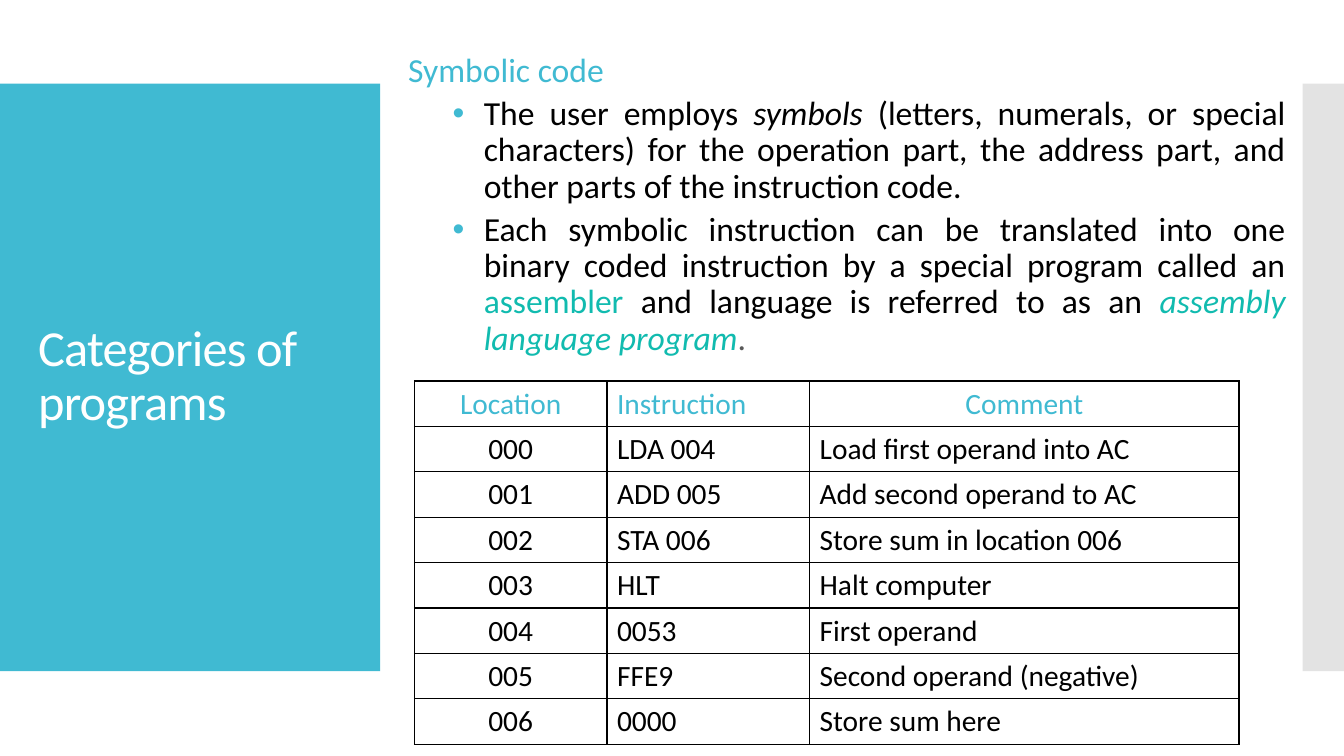
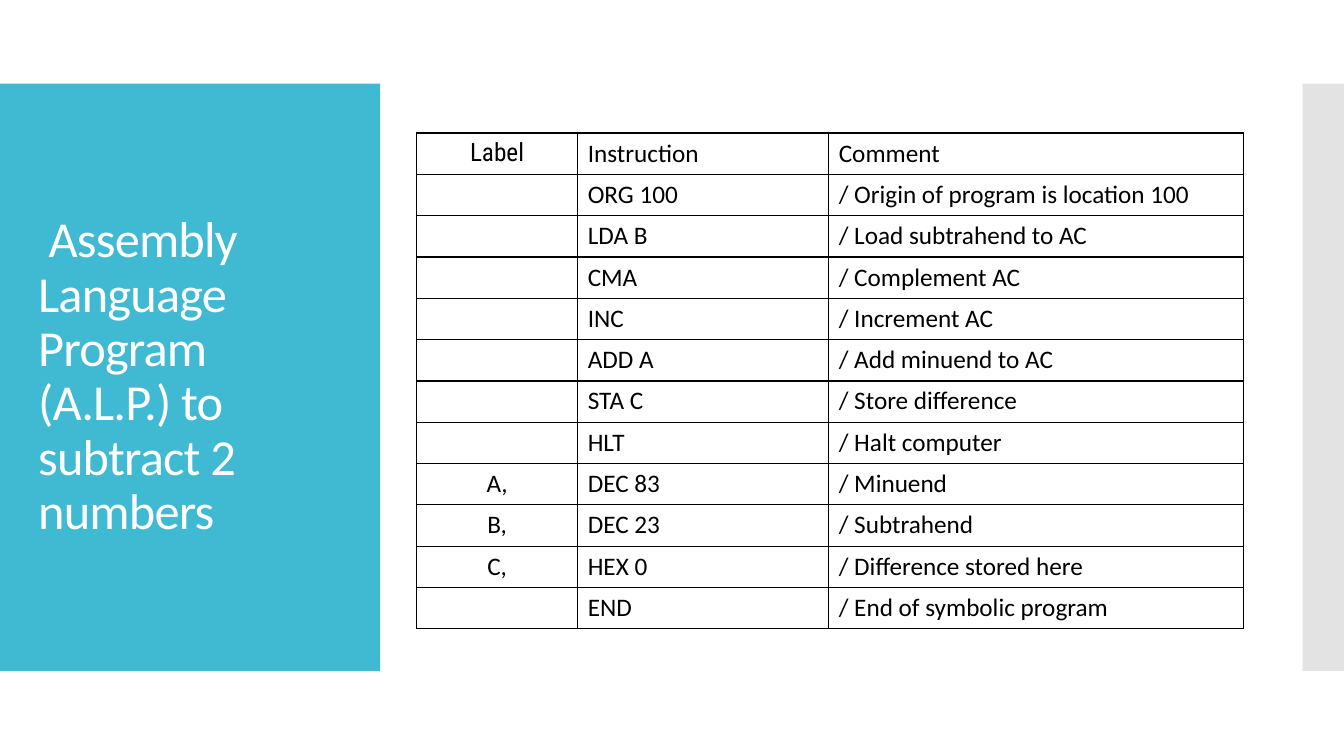
from lxml.etree import SubElement
from pptx import Presentation
from pptx.dml.color import RGBColor
from pptx.enum.shapes import MSO_SHAPE
from pptx.enum.text import MSO_ANCHOR, PP_ALIGN
from pptx.oxml.ns import qn
from pptx.util import Inches, Pt

TEAL, GREEN, GREY = "40BAD2", "11BBAF", "C8C8C8"
BLACK, WHITE, DARK = "000000", "FFFFFF", "595959"
FONT = "Calibri"


def rgb(value):
    return RGBColor.from_string(value)


def add_text(p, text, size=18, color=BLACK, font=FONT, italic=False, spacing=None):
    r = p.add_run()
    r.text = text
    r.font.size, r.font.name, r.font.italic = Pt(size), font, italic
    r.font.color.rgb = rgb(color)
    if spacing is not None:
        r.font._element.set("spc", str(round(spacing * 100)))


def add_bullet(p, color):
    pPr = p._p.get_or_add_pPr()
    pPr.set("marL", str(Inches(0.75)))
    pPr.set("indent", str(Inches(-0.31)))
    SubElement(SubElement(pPr, qn("a:buClr")), qn("a:srgbClr"), val=color)
    SubElement(pPr, qn("a:buFont"), typeface="Arial")
    SubElement(pPr, qn("a:buChar"), char="•")


def add_borders(cell, color=BLACK):
    tcPr = cell._tc.get_or_add_tcPr()
    for side in ("a:lnL", "a:lnR", "a:lnT", "a:lnB"):
        ln = SubElement(tcPr, qn(side), w=str(Pt(1)))
        SubElement(SubElement(ln, qn("a:solidFill")), qn("a:srgbClr"), val=color)


class Deck:
    def __init__(self):
        self.prs = Presentation()
        self.prs.slide_width, self.prs.slide_height = Inches(13.33), Inches(7.5)
        self.s = None

    def slide(self, title):
        self.s = self.prs.slides.add_slide(self.prs.slide_layouts[6])
        self.band(0, 3.77, TEAL)
        self.band(12.92, 0.41, GREY, alpha=50)
        tf = self.text_box(0.28, 1.23, 3.22, 5.03)
        tf.vertical_anchor = MSO_ANCHOR.MIDDLE
        p = tf.paragraphs[0]
        p.line_spacing = 0.9
        add_text(p, title, size=36, color=WHITE, spacing=-0.6)

    def band(self, x, w, color, alpha=None):
        sp = self.s.shapes.add_shape(
            MSO_SHAPE.RECTANGLE, Inches(x), Inches(0.83), Inches(w), Inches(5.83))
        sp.shadow.inherit = False
        sp.line.fill.background()
        sp.fill.solid()
        sp.fill.fore_color.rgb = rgb(color)
        if alpha is not None:
            clr = sp._element.spPr.find(".//" + qn("a:srgbClr"))
            SubElement(clr, qn("a:alpha"), val=str(alpha * 1000))

    def text_box(self, x, y, w, h):
        sp = self.s.shapes.add_textbox(Inches(x), Inches(y), Inches(w), Inches(h))
        sp.text_frame.word_wrap = True
        return sp.text_frame

    def body(self, heading, bullets, x, y, w, h, size=24):
        tf = self.text_box(x, y, w, h)
        p = tf.paragraphs[0]
        add_text(p, heading, size=size, color=TEAL)
        for runs in bullets:
            p = tf.add_paragraph()
            add_bullet(p, TEAL)
            p.space_before = Pt(5)
            for text, style in runs:
                add_text(p, text, size=size, **style)
        for p in tf.paragraphs:
            p.alignment, p.line_spacing = PP_ALIGN.JUSTIFY, 0.9

    def table(self, rows, x, y, widths, row_height, size, centred, header=TEAL, fonts=None):
        """centred holds (row kind, column) pairs: row kind is 'head' or 'body'."""
        table = self.s.shapes.add_table(
            len(rows), len(widths), Inches(x), Inches(y),
            Inches(sum(widths)), Inches(row_height * len(rows))).table
        table.first_row = table.horz_banding = False
        for col, width in zip(table.columns, widths):
            col.width = Inches(width)
        for i, row in enumerate(rows):
            table.rows[i].height = Inches(row_height)
            kind = "body" if i else "head"
            for j, text in enumerate(row):
                cell = table.cell(i, j)
                add_borders(cell)
                cell.fill.background()
                p = cell.text_frame.paragraphs[0]
                if (kind, j) in centred:
                    p.alignment = PP_ALIGN.CENTER
                if text:
                    add_text(p, text, size=size, color=BLACK if i else header,
                             font=(fonts or {}).get((kind, j), FONT))


def main():
    deck = Deck()

    # Symbolic code
    deck.slide("Categories of programs")
    bullets = [
        [("The user employs ", {}),
         ("symbols", {"italic": True}),
         (" (letters, numerals, or special characters) for the operation part, "
          "the address part, and other parts of the instruction code.", {})],
        [("Each symbolic instruction can be translated into one binary coded "
          "instruction by a special program called an ", {}),
         ("assembler ", {"color": GREEN}),
         ("and language is referred to as an ", {}),
         ("assembly language program", {"color": GREEN, "italic": True}),
         (".", {"color": DARK})],
    ]
    deck.body("Symbolic code", bullets, 3.95, 0.48, 8.9, 6.11)
    code = [
        ("LDA 004", "Load first operand into AC"),
        ("ADD 005", "Add second operand to AC"),
        ("STA 006", "Store sum in location 006"),
        ("HLT", "Halt computer"),
        ("0053", "First operand"),
        ("FFE9", "Second operand (negative)"),
        ("0000", "Store sum here"),
    ]
    rows = [("Location", "Instruction", "Comment")]
    rows += [(f"{n:03}", *line) for n, line in enumerate(code)]
    deck.table(rows, 4.11, 3.78, (1.91, 2.01, 4.26), 0.45, 21,
               centred={("head", 0), ("head", 2), ("body", 0)})

    # Subtraction program
    deck.slide(" Assembly Language Program (A.L.P.) to subtract 2 numbers")
    rows = [
        ("Label", "Instruction", "Comment"),
        ("", "ORG 100", "/ Origin of program is location 100"),
        ("", "LDA B", "/ Load subtrahend to AC"),
        ("", "CMA", "/ Complement AC"),
        ("", "INC", "/ Increment AC"),
        ("", "ADD A", "/ Add minuend to AC"),
        ("", "STA C", "/ Store difference"),
        ("", "HLT", "/ Halt computer"),
        ("A,", "DEC 83", "/ Minuend"),
        ("B,", "DEC 23", "/ Subtrahend"),
        ("C,", "HEX 0", "/ Difference stored here"),
        ("", "END", "/ End of symbolic program"),
    ]
    deck.table(rows, 4.13, 1.32, (1.6, 2.49, 4.11), 0.41, 18, header=BLACK,
               centred={("head", 0), ("body", 0)},
               fonts={("head", 0): "Roboto Condensed"})

    deck.prs.save("out.pptx")


if __name__ == "__main__":
    main()
